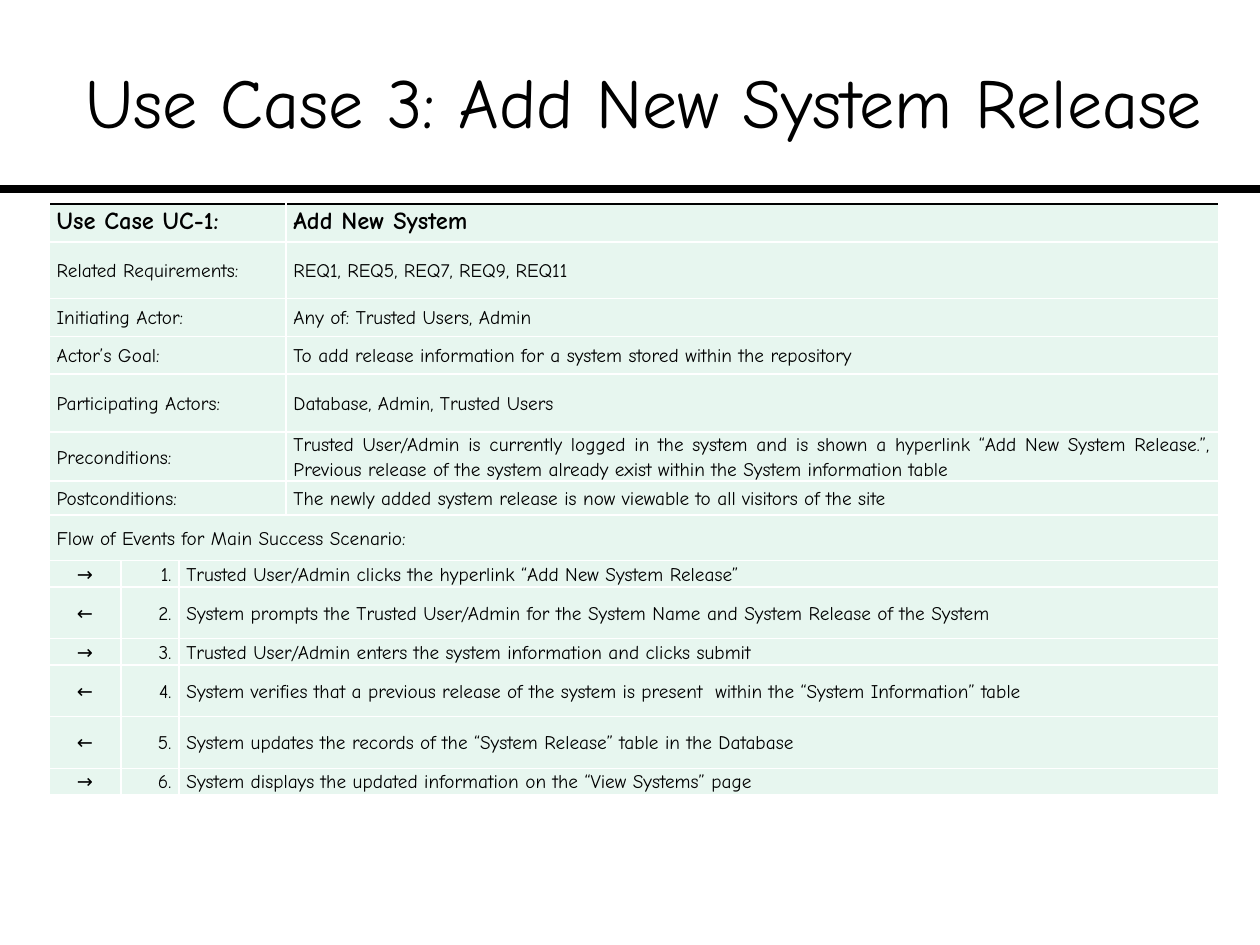
from lxml import etree
from pptx import Presentation
from pptx import util as u
from pptx.dml.color import RGBColor
from pptx.enum import shapes, text
from pptx.oxml.ns import qn

FONT = "Comic Neue"
INK, PAPER, MINT = "000000", "FFFFFF", "E7F6EF"
ALIGN = {"c": text.PP_ALIGN.CENTER, "r": text.PP_ALIGN.RIGHT, "j": text.PP_ALIGN.JUSTIFY}
COLUMNS = [0.57, 0.46, 0.85, 7.4]
ROWS = [0.3, 0.45, 0.3, 0.3, 0.46, 0.3, 0.27, 0.36, 0.21, 0.41, 0.21, 0.41, 0.41, 0.21]
DETAILS = [
    ("Use Case UC-1:", "Add New System"),
    ("Related Requirements:", "REQ1, REQ5, REQ7, REQ9, REQ11"),
    ("Initiating Actor:", "Any of: Trusted Users, Admin"),
    ("Actor’s Goal:", "To add release information for a system stored within the repository"),
    ("Participating Actors:", "Database, Admin, Trusted Users"),
    ("Preconditions:", "Trusted User/Admin is currently logged in the system and is shown a hyperlink "
     "“Add New System Release.”, Previous release of the system already exist within the "
     "System information table"),
    ("Postconditions:", "The newly added system release is now viewable to all visitors of the site"),
]
FLOW_TITLE = "Flow of Events for Main Success Scenario:"
STEPS = [
    ("→", ["Trusted User/Admin clicks the hyperlink “Add New System Release”"]),
    ("←", ["System prompts the Trusted User/Admin for the System ",
           "Name and System Release of the System"]),
    ("→", ["Trusted User/Admin enters the system information and clicks submit"]),
    ("←", ["System verifies that a previous release of the system is present  within the "
           "“System Information” table "]),
    ("←", ["System updates the records of the “System Release” table in the Database "]),
    ("→", ["System displays the updated information on the “View Systems” page"]),
]


def color(value):
    """Turn a hex string into a colour."""
    return RGBColor.from_string(value)


def write(frame, words, size=11, bold=False, align="j", before=0, leading=None):
    """Write one paragraph; words is a string or a list of strings, one for each span."""
    para = frame.paragraphs[0]
    para.alignment = ALIGN[align]
    para.space_before = u.Pt(before)
    if leading:
        para.line_spacing = u.Pt(leading)
    for words_part in [words] if isinstance(words, str) else words:
        span = para.add_run()
        span.text = words_part
        span.font.name, span.font.size, span.font.bold = FONT, u.Pt(size), bold
        span.font.color.rgb = color(INK)


def set_borders(cell, top):
    """Give a cell thin white borders and a top border of its own colour."""
    properties = cell._tc.get_or_add_tcPr()
    edges = [("a:lnL", PAPER), ("a:lnR", PAPER), ("a:lnT", top), ("a:lnB", PAPER)]
    for place, (tag, value) in enumerate(edges):
        line = etree.Element(qn(tag), w=str(u.Pt(1)))
        fill = etree.SubElement(line, qn("a:solidFill"))
        etree.SubElement(fill, qn("a:srgbClr"), val=value)
        properties.insert(place, line)


def fill_cell(cell, words, **style):
    """Set the margins of a cell and write its text."""
    cell.margin_left = cell.margin_right = u.Inches(0.06)
    cell.margin_top = cell.margin_bottom = 0
    cell.vertical_anchor = text.MSO_ANCHOR.MIDDLE
    write(cell.text_frame, words, leading=14, **style)


def add_title(page, left, top, width, height):
    """Place the slide title."""
    box = page.shapes.add_textbox(*map(u.Inches, (left, top, width, height)))
    frame = box.text_frame
    frame.word_wrap = True
    frame.margin_left = frame.margin_right = 0
    frame.vertical_anchor = text.MSO_ANCHOR.MIDDLE
    write(frame, "Use Case 3: Add New System Release", size=40, align="c")


def add_rule(page, left, top, width):
    """Draw the thick line under the title."""
    rule = page.shapes.add_connector(
        shapes.MSO_CONNECTOR.STRAIGHT, *map(u.Inches, (left, top, left + width, top)))
    rule.line.color.rgb = color(INK)
    rule.line.width = u.Pt(4.5)
    etree.SubElement(rule._element.spPr, qn("a:effectLst"))


def add_use_case(page, left, top, width, height):
    """Build the use case table: details, flow heading and numbered steps."""
    table = page.shapes.add_table(
        len(ROWS), len(COLUMNS), *map(u.Inches, (left, top, width, height))).table
    table.first_row = table.horz_banding = False
    for column, size in zip(table.columns, COLUMNS):
        column.width = u.Inches(size * width / sum(COLUMNS))
    for index, (row, size) in enumerate(zip(table.rows, ROWS)):
        row.height = u.Inches(size)
        for cell in row.cells:
            cell.fill.solid()
            cell.fill.fore_color.rgb = color(MINT)
            set_borders(cell, PAPER if index else INK)
    for index, (label, value) in enumerate(DETAILS):
        style = {"before": 3} if index else {"before": 3, "size": 14, "bold": True}
        table.cell(index, 0).merge(table.cell(index, 2))
        fill_cell(table.cell(index, 0), label, **style)
        fill_cell(table.cell(index, 3), value, **style)
    heading = len(DETAILS)
    table.cell(heading, 0).merge(table.cell(heading, 3))
    fill_cell(table.cell(heading, 0), FLOW_TITLE, before=4)
    for number, (arrow, words) in enumerate(STEPS, 1):
        index = heading + number
        table.cell(index, 2).merge(table.cell(index, 3))
        fill_cell(table.cell(index, 0), arrow, align="c")
        fill_cell(table.cell(index, 1), f"{number}.", align="r")
        fill_cell(table.cell(index, 2), words)


def main():
    """Build the deck and save it."""
    deck = Presentation()
    deck.slide_width, deck.slide_height = u.Inches(10), u.Inches(7.5)
    page = deck.slides.add_slide(deck.slide_layouts[6])
    add_rule(page, 0, 1.5, 10)
    add_title(page, 0.42, 0.17, 9.38, 1.25)
    add_use_case(page, 0.39, 1.62, 9.28, 4.7)
    deck.save("out.pptx")


if __name__ == "__main__":
    main()
